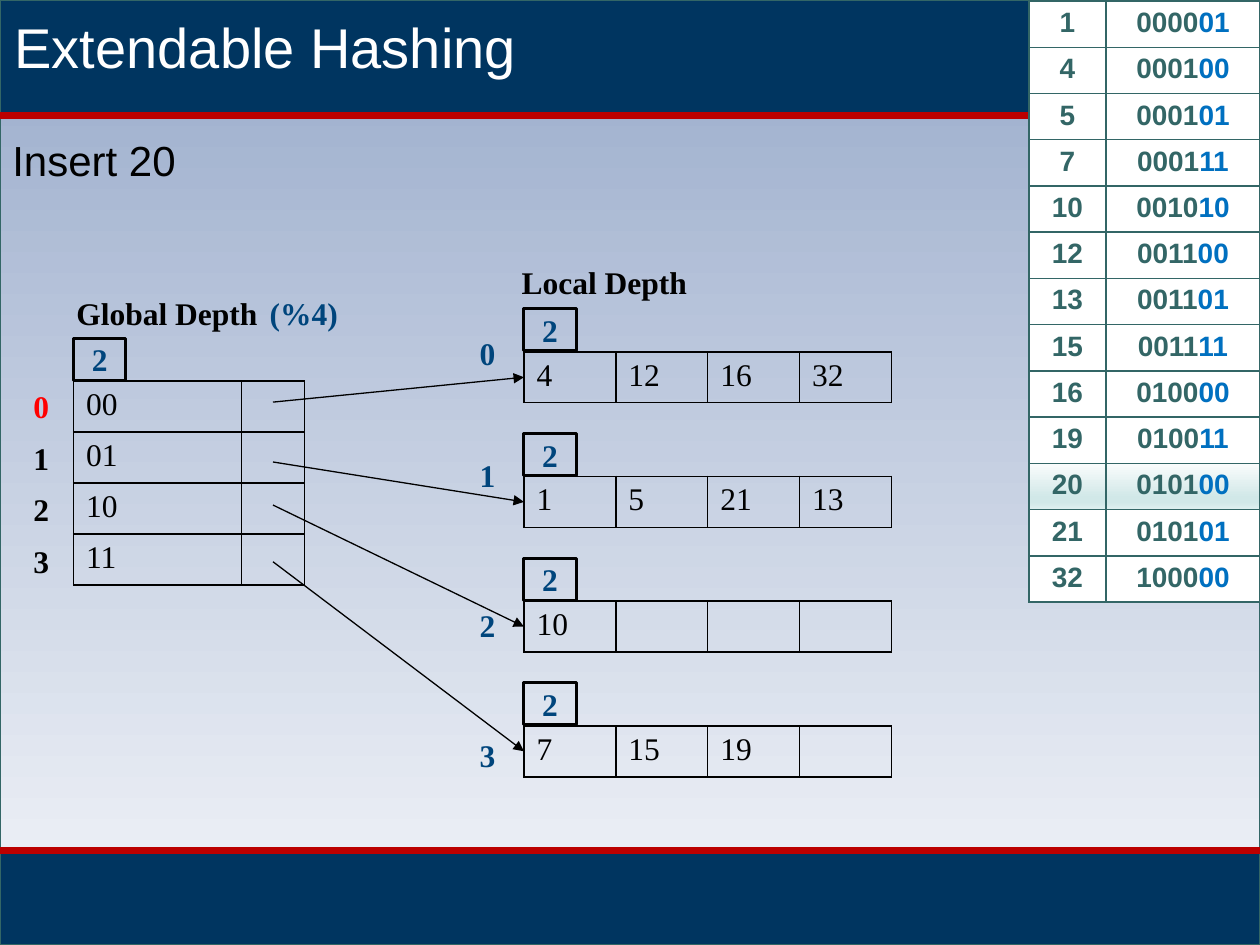
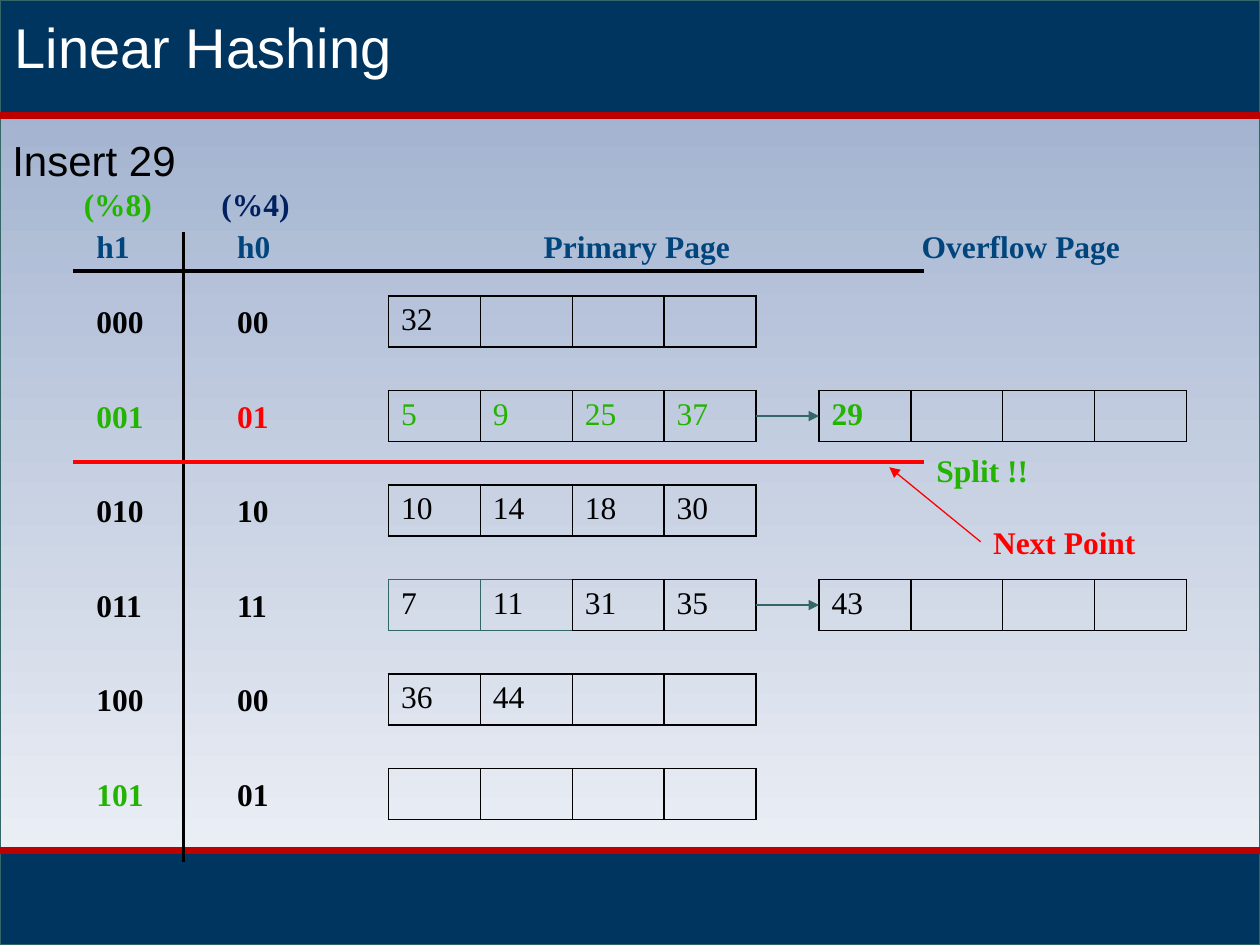
from collections import namedtuple

from lxml import etree
from pptx import Presentation
from pptx.dml.color import RGBColor
from pptx.enum.shapes import MSO_CONNECTOR, MSO_SHAPE
from pptx.enum.text import MSO_ANCHOR, PP_ALIGN
from pptx.oxml.ns import qn
from pptx.util import Inches, Pt

STRAIGHT = MSO_CONNECTOR.STRAIGHT
RECTANGLE = MSO_SHAPE.RECTANGLE
LEFT, CENTER = PP_ALIGN.LEFT, PP_ALIGN.CENTER
TOP, MIDDLE = MSO_ANCHOR.TOP, MSO_ANCHOR.MIDDLE

COLUMNS, ROWS, UNITS_PER_INCH = 120, 90, 12
HEADER_ROWS, FOOTER_ROW = 11, 81
ROW_HEIGHT, BUCKET_COLUMN, LABEL_HEIGHT = 4.86, 8.75, 4.8
LEFT_SIDE, RIGHT_SIDE = 1, 3

SANS, SERIF = "Arial", "Times New Roman"
WHITE, BLACK, RED, GREEN = "FFFFFF", "000000", "FF0000", "22B400"
NAVY, BLUE, DARK_BLUE = "003560", "00457C", "002060"
TEAL, CRIMSON, BIT_BLUE = "336666", "BC0000", "0070C0"
BACKDROP_STOPS = [(0, "99ABCB"), (100, "F3F5F9")]
HIGHLIGHT_STOPS = [(0, "FAFCFC"), (74, "D1E8E8"), (83, "D1E8E8"), (100, "E0F0F0")]

Box = namedtuple("Box", "left top width height")


def rgb(value):
    """Turn a hex string into a colour."""
    return RGBColor.from_string(value)


def grid(units):
    """Turn grid units into a length."""
    return Inches(units / UNITS_PER_INCH)


def place(box):
    """Turn a grid box into four lengths."""
    return [grid(units) for units in box]


def write(frame, text, size=18, font=SERIF, color=BLACK, bold=True, align=LEFT, anchor=None):
    """Write a string, or a list of (text, color) runs, in one format."""
    paragraph = frame.paragraphs[0]
    paragraph.alignment = align
    if anchor is not None:
        frame.vertical_anchor = anchor
    for part, part_color in [(text, color)] if isinstance(text, str) else text:
        run = paragraph.add_run()
        run.text = part
        run.font.size, run.font.name, run.font.bold = Pt(size), font, bold
        run.font.color.rgb = rgb(part_color)


def add_label(slide, left, top, text, width=4, height=LABEL_HEIGHT, **text_format):
    """Add a text box that wraps."""
    frame = slide.shapes.add_textbox(*place((left, top, width, height))).text_frame
    frame.word_wrap = True
    write(frame, text, **text_format)


def fill_gradient(fill, element, stops):
    """Fill from top to bottom with (percent, color) stops."""
    fill.gradient()
    fill.gradient_angle = 270
    stop_list = next(element.iter(qn("a:gsLst")))
    for stop in list(stop_list):
        stop_list.remove(stop)
    for percent, color in stops:
        stop = etree.SubElement(stop_list, qn("a:gs"), pos=str(percent * 1000))
        etree.SubElement(stop, qn("a:srgbClr"), val=color)


def add_rectangle(slide, box, fill=None, line=TEAL, width=0.75):
    """Add a flat rectangle, hollow without a fill."""
    shape = slide.shapes.add_shape(RECTANGLE, *place(box))
    shape.shadow.inherit = False
    shape.line.color.rgb, shape.line.width = rgb(line), Pt(width)
    if isinstance(fill, list):
        fill_gradient(shape.fill, shape.element, fill)
    elif fill:
        shape.fill.solid()
        shape.fill.fore_color.rgb = rgb(fill)
    else:
        shape.fill.background()
    return shape


def add_line(slide, start, end, color=BLACK, width=0.75, arrow=False):
    """Join two grid points with a straight line."""
    line = slide.shapes.add_connector(STRAIGHT, *place((*start, *end)))
    line.line.color.rgb, line.line.width = rgb(color), Pt(width)
    if arrow:
        etree.SubElement(line.line._get_or_add_ln(), qn("a:tailEnd"), type="triangle")
    etree.SubElement(line.element.spPr, qn("a:effectLst"))
    return line


def set_borders(cell, left=BLACK, right=BLACK, top=BLACK, bottom=BLACK):
    """Draw the four edges of a table cell, ahead of its fill."""
    properties = cell._tc.get_or_add_tcPr()
    edges = {"a:lnL": left, "a:lnR": right, "a:lnT": top, "a:lnB": bottom}
    for index, (tag, color) in enumerate(edges.items()):
        edge = etree.Element(qn(tag), w=str(Pt(1)))
        solid = etree.SubElement(edge, qn("a:solidFill"))
        etree.SubElement(solid, qn("a:srgbClr"), val=color)
        properties.insert(index, edge)


def add_plain_table(slide, box, row_count, widths):
    """Add a table without banding, fills or text; return its frame."""
    frame = slide.shapes.add_table(row_count, len(widths), *place(box))
    table = frame.table
    table.first_row = table.horz_banding = False
    for column, width in zip(table.columns, widths):
        column.width = grid(width)
    for row in table.rows:
        row.height = grid(box.height / row_count)
    for cell in table.iter_cells():
        cell.fill.background()
    return frame


def add_bucket(slide, left, top, values, edges=(BLACK,) * 4, **text_format):
    """Add a four-slot bucket and return its frame."""
    text_format = {"bold": False, **text_format}
    box = Box(left, top, 4 * BUCKET_COLUMN, ROW_HEIGHT)
    frame = add_plain_table(slide, box, 1, [BUCKET_COLUMN] * 4)
    for index, edge in enumerate(edges):
        cell = frame.table.cell(0, index)
        next_edge = edges[min(index + 1, 3)]
        set_borders(cell, left=edge, right=next_edge, top=edge, bottom=edge)
        if index < len(values):
            write(cell.text_frame, str(values[index]), **text_format)
    return frame


def add_depth(slide, left, table_top, depth):
    """Add the depth box that sits on a table."""
    shape = add_rectangle(slide, Box(left, table_top - 4.1, 5, 4), line=BLACK, width=1.75)
    write(shape.text_frame, depth, color=BLUE, align=CENTER, anchor=MIDDLE)


def add_base_slide(presentation, title_text, step):
    """Add a slide with backdrop, bands, title and step line."""
    slide = presentation.slides.add_slide(presentation.slide_layouts[5])
    add_rectangle(slide, Box(0, 0, COLUMNS, ROWS), BACKDROP_STOPS)
    add_rectangle(slide, Box(0, FOOTER_ROW, COLUMNS, ROWS - FOOTER_ROW), NAVY)
    add_rectangle(slide, Box(0, 0, COLUMNS, HEADER_ROWS), NAVY)
    for row in (HEADER_ROWS, FOOTER_ROW):
        add_line(slide, (0, row), (COLUMNS, row), CRIMSON, 3.75)
    title = slide.shapes.title
    title.element.getparent().append(title.element)
    title.left, title.top, title.width, title.height = place((0.2, 0.6, 119.8, 7.7))
    write(title.text_frame, title_text, size=32, font=SANS, color=WHITE, bold=False, anchor=TOP)
    add_label(slide, 0, 12.2, step, width=77, height=6, size=24, font=SANS, bold=False)
    return slide


def draw_key_table(slide, box, keys, inserted):
    """List each key with its binary form and mark the inserted one."""
    table = add_plain_table(slide, box, len(keys), [box.width / 3, box.width * 2 / 3]).table
    for row, key in enumerate(keys):
        bits = f"{key:06b}"
        contents = [str(key), [(bits[:4], TEAL), (bits[4:], BIT_BLUE)]]
        for column, content in enumerate(contents):
            cell = table.cell(row, column)
            if key == inserted:
                fill_gradient(cell.fill, cell._tc, HIGHLIGHT_STOPS)
            else:
                cell.fill.solid()
                cell.fill.fore_color.rgb = rgb(WHITE)
            set_borders(cell, TEAL, TEAL, TEAL, TEAL)
            write(cell.text_frame, content, size=16, font=SANS, color=TEAL, align=CENTER)


def draw_directory(slide, box):
    """Draw the directory with its global depth and slot numbers."""
    add_label(slide, box.left - 0.9, box.top - 8.9, "Global Depth", width=21)
    add_label(slide, box.left + 17.5, box.top - 8.9, "(%4)", width=10, color=BLUE)
    add_depth(slide, box.left, box.top, "2")
    table = add_plain_table(slide, box, 4, [16, 6]).table
    for cell in table.iter_cells():
        set_borders(cell)
    for slot in range(4):
        write(table.cell(slot, 0).text_frame, f"{slot:02b}", bold=False)
        color = BLACK if slot else RED
        add_label(slide, box.left - 5, box.top + slot * 4.9, str(slot), color=color)


def draw_local_buckets(slide, box, arrow_starts):
    """Draw the buckets with local depths and the arrows to them."""
    add_label(slide, box.left - 1.4, box.top - 9, "Local Depth", width=20)
    buckets = [[4, 12, 16, 32], [1, 5, 21, 13], [10], [7, 15, 19]]
    label_offsets = [-2.3, 9.3, 23.6, 36]
    for index, (values, start) in enumerate(zip(buckets, arrow_starts)):
        top = box.top + index * box.height / 4
        bucket = add_bucket(slide, box.left, top, values)
        add_depth(slide, box.left, top, "2")
        add_label(slide, box.left - 5.4, box.top + label_offsets[index], str(index), color=BLUE)
        arrow = add_line(slide, start, (box.left, top), arrow=True)
        arrow.end_connect(bucket, LEFT_SIDE)


def draw_linear_pages(slide, box):
    """Draw the hash columns with primary and overflow pages."""
    left, top = box.left, box.top
    bottom, rule_end = top + box.height, left + 81
    add_line(slide, (left + 10.5, top + 5.1), (left + 10.5, bottom), width=1.75)
    add_line(slide, (left, top + 8.8), (rule_end, top + 8.8), width=2)
    add_line(slide, (left, top + 27), (rule_end, top + 27), RED, 2)
    labels = [
        (-0.2, 0, "(%8)", 10, GREEN), (12.9, 0, "(%4)", 10, DARK_BLUE),
        (1, 4, "h1", 7, BLUE), (14.4, 4, "h0", 7, BLUE),
        (43.6, 4, "Primary Page", 22, BLUE), (79.6, 4, "Overflow Page", 24, BLUE),
        (81, 25.4, "Split !!", 13, GREEN), (86.4, 32.2, "Next Point", 18, RED),
    ]
    for x, y, text, width, color in labels:
        add_label(slide, left + x, top + y, text, width=width, color=color)
    pages = [
        ([32], None, {}),
        ([5, 9, 25, 37], [29], {"color": GREEN}),
        ([10, 14, 18, 30], None, {}),
        ([7, 11, 31, 35], [43], {"edges": (TEAL, TEAL, BLACK, BLACK)}),
        ([36, 44], None, {}),
        ([], None, {}),
    ]
    for index, (values, overflow, style) in enumerate(pages):
        row_top = top + 11.2 + 9 * index
        is_split = index % 4 == 1
        h1_color = GREEN if is_split else BLACK
        h0_color = RED if index == 1 else BLACK
        add_label(slide, left + 1, row_top, f"{index:03b}", width=8, color=h1_color)
        add_label(slide, left + 14.4, row_top, f"{index % 4:02b}", width=7, color=h0_color)
        primary = add_bucket(slide, left + 30, row_top, values, **style)
        if overflow:
            extra = add_bucket(slide, left + 71, row_top, overflow, color=h1_color, bold=is_split)
            arrow = add_line(slide, (left + 65, row_top), (left + 71, row_top), TEAL, arrow=True)
            arrow.begin_connect(primary, RIGHT_SIDE)
            arrow.end_connect(extra, LEFT_SIDE)
    add_line(slide, (left + 86.4, top + 34.6), (left + 77.7, top + 27.5), RED, arrow=True)


def add_extendable_slide(presentation):
    """Add the extendable hashing slide."""
    slide = add_base_slide(presentation, "Extendable Hashing", "Insert 20")
    keys = [1, 4, 5, 7, 10, 12, 13, 15, 16, 19, 20, 21, 32]
    draw_key_table(slide, Box(98, 0.1, 22, 57.3), keys, inserted=20)
    draw_directory(slide, Box(7, 36.3, 22, 4 * ROW_HEIGHT))
    arrow_starts = [(26, 38.3), (26, 44), (26, 48.1), (26, 53.5)]
    draw_local_buckets(slide, Box(49.9, 33.5, 35, 47.5), arrow_starts)


def add_linear_slide(presentation):
    """Add the linear hashing slide."""
    slide = add_base_slide(presentation, "Linear Hashing", "Insert 29")
    draw_linear_pages(slide, Box(7, 17, 106, 65.1))


def main():
    """Build and save the two slides."""
    presentation = Presentation()
    presentation.slide_width, presentation.slide_height = grid(COLUMNS), grid(ROWS)
    add_extendable_slide(presentation)
    add_linear_slide(presentation)
    presentation.save("out.pptx")


if __name__ == "__main__":
    main()
